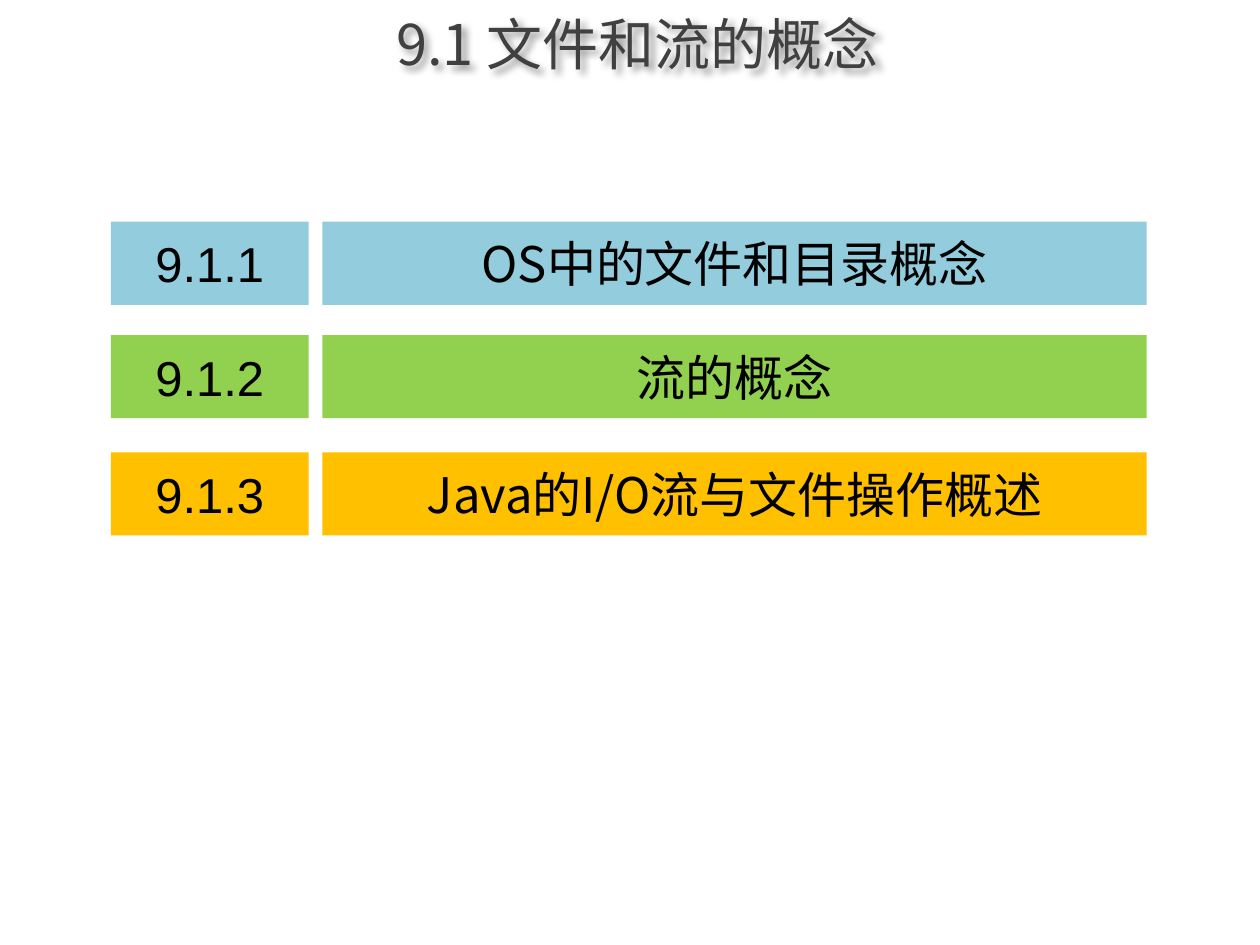
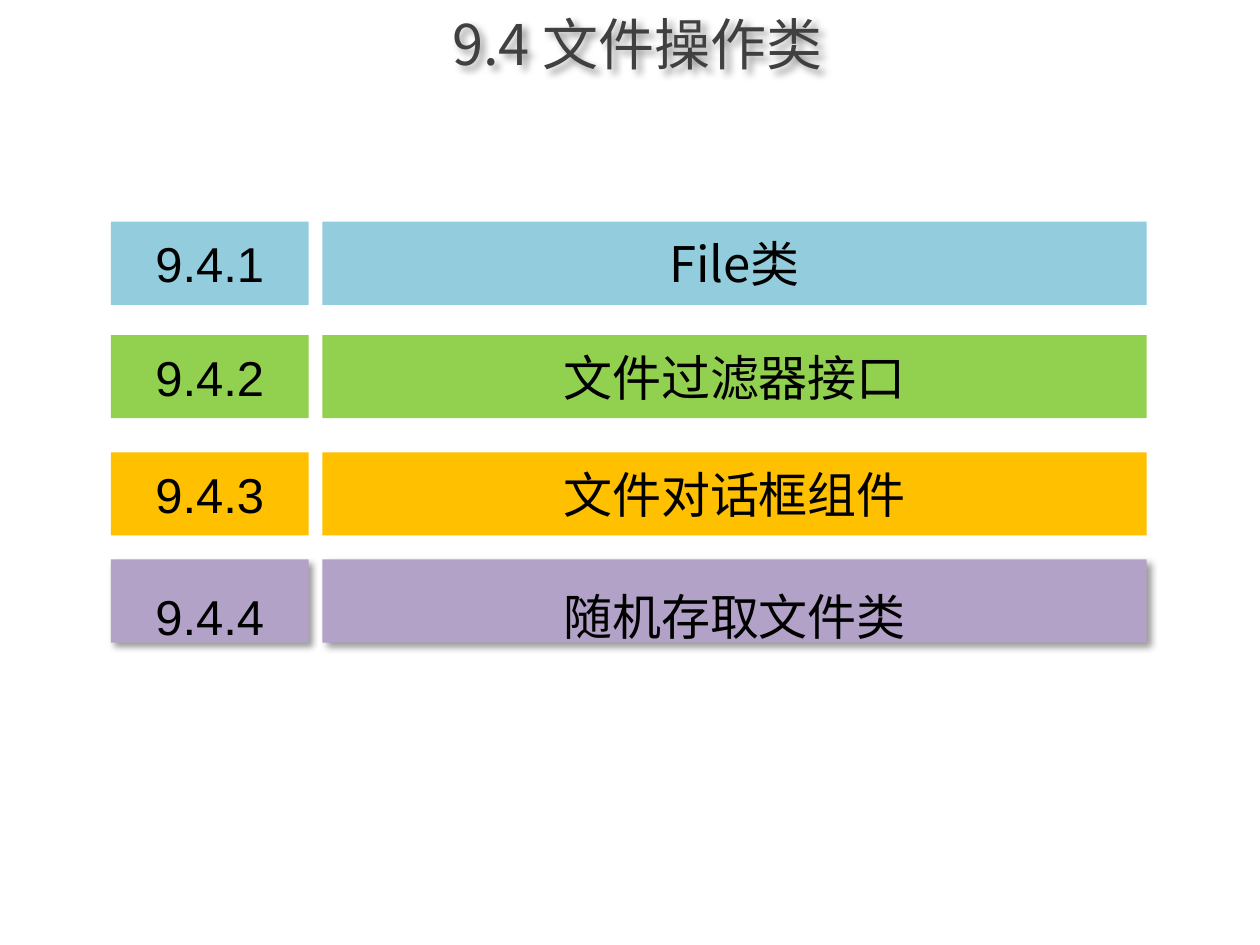
from dataclasses import dataclass

from lxml import etree
from pptx import Presentation
from pptx.dml.color import RGBColor
from pptx.enum.shapes import MSO_SHAPE
from pptx.enum.text import MSO_ANCHOR, PP_ALIGN
from pptx.oxml.ns import qn
from pptx.util import Inches, Pt

RECTANGLE = MSO_SHAPE.RECTANGLE
CENTER = PP_ALIGN.CENTER
MIDDLE = MSO_ANCHOR.MIDDLE
BLANK_LAYOUT = 6


@dataclass(frozen=True)
class Theme:
    title_font: str = "Noto Sans CJK SC"
    number_font: str = "Arial"
    title_size: int = 32
    row_size: int = 28
    title_color: str = "404040"
    text_color: str = "000000"
    shadow_color: str = "000000"


@dataclass(frozen=True)
class RowStyle:
    top: float
    fill: str
    raised: bool = False  # shadow, open line spacing and no wrapping


THEME = Theme()

# Grid in inches: the title band, two columns and the rows
SLIDE_WIDTH, SLIDE_HEIGHT = 10, 7.5
TITLE_BOX = (0.72, 0, 8.68, 0.68)
NUMBER_LEFT, NUMBER_WIDTH = 0.88, 1.57
TOPIC_LEFT, TOPIC_WIDTH = 2.56, 6.54
ROW_HEIGHT = 0.66
ROW_STYLES = [
    RowStyle(1.76, "93CDDD"),
    RowStyle(2.66, "92D050"),
    RowStyle(3.59, "FFC000"),
    RowStyle(4.44, "B3A2C7", raised=True),
]

# Section number, section title and its topics
SECTIONS = [
    ("9.1", "文件和流的概念",
     ["OS中的文件和目录概念", "流的概念", "Java的I/O流与文件操作概述"]),
    ("9.4", "文件操作类",
     ["File类", "文件过滤器接口", "文件对话框组件", "随机存取文件类"]),
]


def inches(lengths):
    return [Inches(length) for length in lengths]


def write_text(shape, text, font_name, size, color):
    """Fill a shape with one centred paragraph."""
    frame = shape.text_frame
    frame.word_wrap = True
    frame.vertical_anchor = MIDDLE
    paragraph = frame.paragraphs[0]
    paragraph.text = text
    paragraph.alignment = CENTER
    font = paragraph.font
    font.name = font_name
    font.size = Pt(size)
    font.color.rgb = RGBColor.from_string(color)
    east_asian = etree.SubElement(font._element, qn("a:ea"))
    east_asian.set("typeface", THEME.title_font)


def add_shadow(shape):
    """Cast a soft shadow to the lower right."""
    shape.shadow.inherit = False
    effects = shape._element.spPr.find(qn("a:effectLst"))
    shadow = etree.SubElement(
        effects, qn("a:outerShdw"), blurRad=str(Pt(4)), dist=str(Pt(3)),
        dir=str(45 * 60000), algn="tl", rotWithShape="0")
    color = etree.SubElement(shadow, qn("a:srgbClr"), val=THEME.shadow_color)
    etree.SubElement(color, qn("a:alpha"), val="40000")


def add_title(slide, text):
    title = slide.shapes.add_textbox(*inches(TITLE_BOX))
    write_text(title, text, THEME.title_font, THEME.title_size, THEME.title_color)
    add_shadow(title)


def add_cell(row, left, width, text, font_name, style):
    cell = row.shapes.add_shape(
        RECTANGLE, *inches((left, style.top, width, ROW_HEIGHT)))
    cell.fill.solid()
    cell.fill.fore_color.rgb = RGBColor.from_string(style.fill)
    cell.line.fill.background()
    cell.shadow.inherit = False
    write_text(cell, text, font_name, THEME.row_size, THEME.text_color)
    if style.raised:
        add_shadow(cell)
        cell.text_frame.word_wrap = False
        cell.text_frame.paragraphs[0].line_spacing = 1.5


def add_topic_row(slide, number, topic, style):
    row = slide.shapes.add_group_shape()
    add_cell(row, TOPIC_LEFT, TOPIC_WIDTH, topic, THEME.title_font, style)
    add_cell(row, NUMBER_LEFT, NUMBER_WIDTH, number, THEME.number_font, style)


def add_section(deck, section, heading, topics):
    slide = deck.slides.add_slide(deck.slide_layouts[BLANK_LAYOUT])
    add_title(slide, f"{section} {heading}")
    for index, (topic, style) in enumerate(zip(topics, ROW_STYLES), start=1):
        add_topic_row(slide, f"{section}.{index}", topic, style)


def main():
    deck = Presentation()
    deck.slide_width, deck.slide_height = inches((SLIDE_WIDTH, SLIDE_HEIGHT))
    for section, heading, topics in SECTIONS:
        add_section(deck, section, heading, topics)
    deck.save("out.pptx")


if __name__ == "__main__":
    main()
